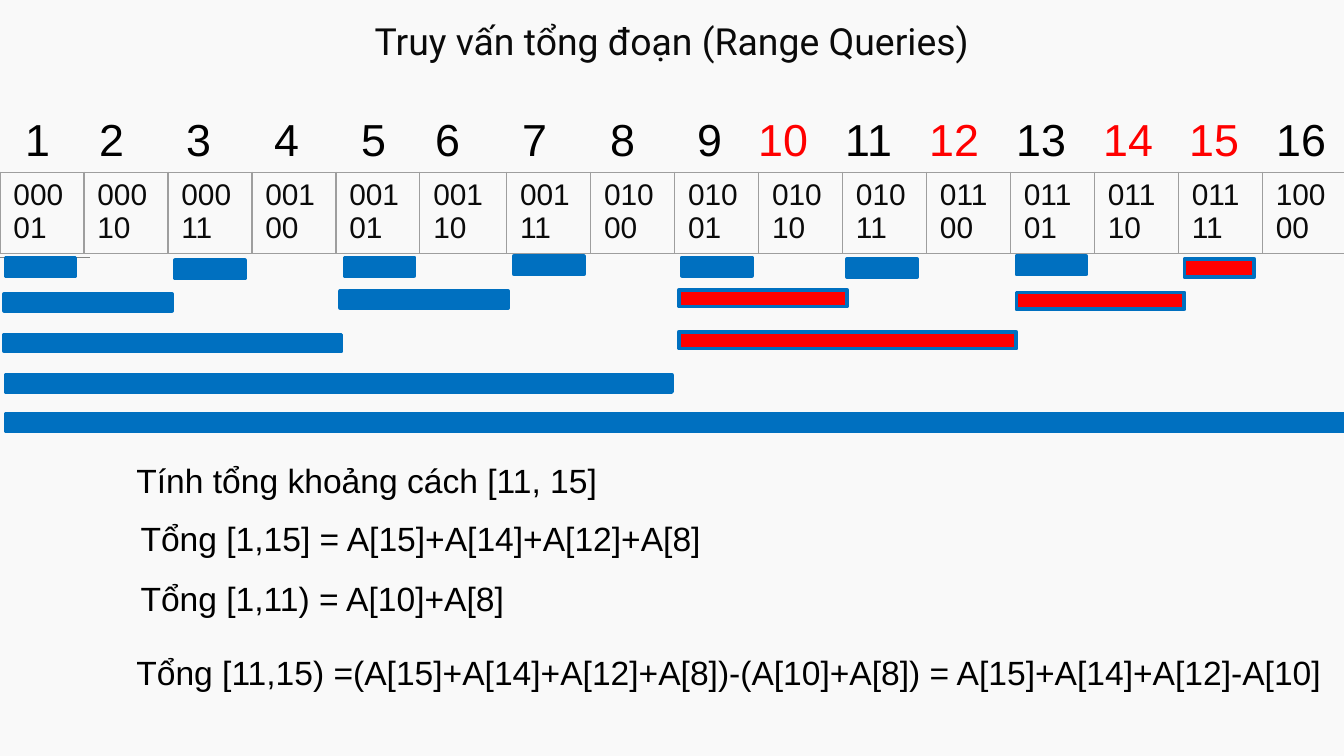
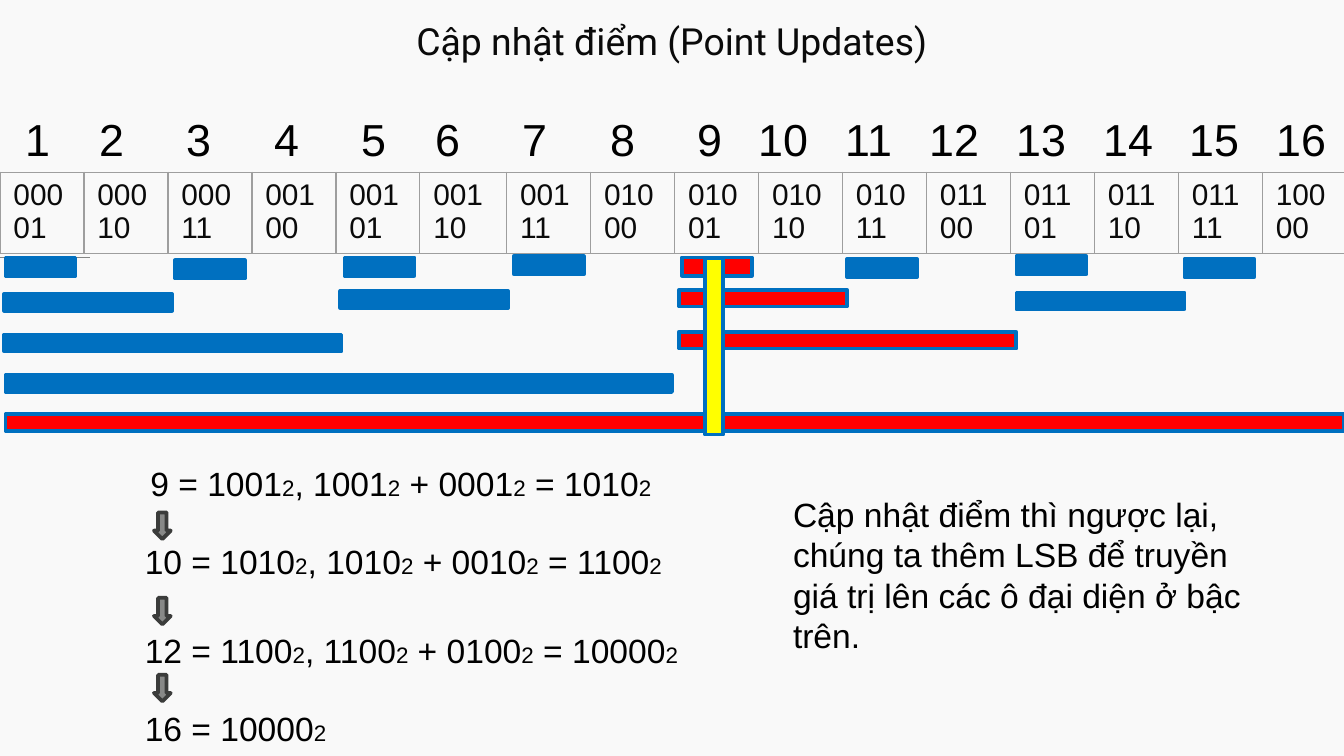
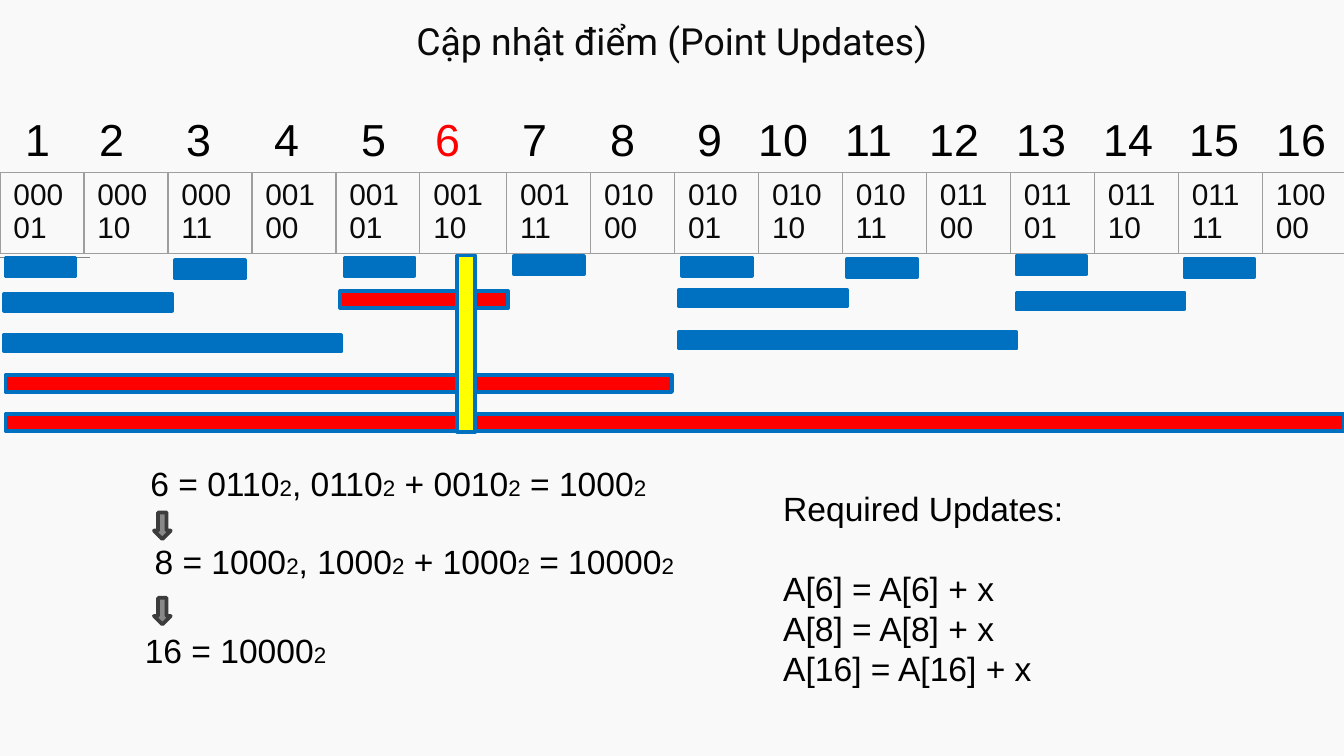
from lxml.etree import SubElement
from pptx import Presentation
from pptx.dml.color import RGBColor
from pptx.enum.shapes import MSO_CONNECTOR as Connector, MSO_SHAPE as Preset
from pptx.enum.text import MSO_ANCHOR as Anchor, MSO_AUTO_SIZE as AutoSize, PP_ALIGN as Align
from pptx.oxml import parse_xml
from pptx.oxml.ns import nsdecls, qn
from pptx.util import Pt

PX = 9525
COLORS = {
    "background": "F9F9F9",
    "title": "0A0A0A",
    "text": "000000",
    "blue": "0070C0",
    "red": "FF0000",
    "yellow": "FFFF00",
    "grid": "9E9E9E",
    "rule": "848584",
    "arrow": "878887",
    "arrow_edge": "3B3C3B",
}
NUMBER_TABS = [53, 115, 178, 240, 293, 355, 418, 480, 524, 586, 646, 708, 770, 832, 894]
BAR_WIDTHS = {1: 50, 2: 120, 4: 241, 8: 476, 16: 956}
BAR_ORIGINS = {
    1: (4, 184), 3: (125, 186), 5: (246, 184), 7: (367, 183),
    9: (487, 184), 11: (605, 185), 13: (726, 183), 15: (846, 185),
    2: (3, 210), 6: (243, 208), 10: (485, 207), 14: (726, 209),
    4: (3, 239), 12: (485, 237), 8: (4, 268), 16: (4, 296),
}
STEP_TOPS = [326, 382, 445, 501]
ARROW_TOPS = [366, 427, 482]


def color(name):
    return RGBColor.from_string(COLORS[name])


class Deck:
    def __init__(self):
        self.presentation = Presentation()
        self.presentation.slide_width = 960 * PX
        self.presentation.slide_height = 540 * PX
        self.slide = None

    def box(self, *lengths):
        return [length * PX for length in lengths]

    def style(self, paragraph, size=18, name="text", font="Arial"):
        for run in paragraph.runs:
            run.font.size = Pt(size)
            run.font.name = font
            run.font.color.rgb = color(name)

    def text(self, x, y, width, height, content=""):
        text_frame = self.slide.shapes.add_textbox(*self.box(x, y, width, height)).text_frame
        text_frame.word_wrap = True
        text_frame.auto_size = AutoSize.SHAPE_TO_FIT_TEXT
        text_frame.text = content
        for paragraph in text_frame.paragraphs:
            self.style(paragraph)
        return text_frame

    def title(self, content):
        text_frame = self.text(75, 0, 810, 58, content)
        text_frame.auto_size = AutoSize.NONE
        text_frame.vertical_anchor = Anchor.MIDDLE
        paragraph = text_frame.paragraphs[0]
        paragraph.alignment = Align.CENTER
        self.style(paragraph, 20, "title", "Roboto")

    def numbers(self, red):
        text_frame = self.text(0, 75, 960, 48)
        text_frame.margin_left = 18 * PX
        paragraph = text_frame.paragraphs[0]
        tabs = SubElement(paragraph._p.get_or_add_pPr(), qn("a:tabLst"))
        for position in NUMBER_TABS:
            SubElement(tabs, qn("a:tab"), pos=str(position * PX), algn="l")
        for number in range(1, 17):
            paragraph.add_run().text = str(number) if number == 1 else f"\t{number}"
        self.style(paragraph, 24)
        for number in red:
            paragraph.runs[number - 1].font.color.rgb = color("red")

    def codes(self):
        table = self.slide.shapes.add_table(1, 16, *self.box(0, 123, 962, 58)).table
        table.first_row = table.horz_banding = False
        for index, cell in enumerate(table.rows[0].cells):
            table.columns[index].width = (62 if index == 5 else 60) * PX
            cell.text = f"{index + 1:05b}"
            self.style(cell.text_frame.paragraphs[0], 16, "title")
            cell.fill.background()
            properties = cell._tc.get_or_add_tcPr()
            for order, side in enumerate("LRTB"):
                properties.insert(order, parse_xml(
                    f'<a:ln{side} {nsdecls("a")} w="{Pt(0.75)}"><a:solidFill>'
                    f'<a:srgbClr val="{COLORS["grid"]}"/></a:solidFill></a:ln{side}>'))

    def line(self, x1, y1, x2, y2):
        connector = self.slide.shapes.add_connector(Connector.STRAIGHT, *self.box(x1, y1, x2, y2))
        connector.line.color.rgb = color("rule")
        connector.line.width = Pt(0.75)
        SubElement(connector._element.spPr, qn("a:effectLst"))

    def shape(self, preset, x, y, width, height, fill, edge="blue", rotation=0):
        shape = self.slide.shapes.add_shape(preset, *self.box(x, y, width, height))
        shape.shadow.inherit = False
        shape.rotation = rotation
        shape.fill.solid()
        shape.fill.fore_color.rgb = color(fill)
        shape.line.color.rgb = color(edge)
        shape.line.width = Pt(2)

    def bars(self, red):
        for index, (x, y) in BAR_ORIGINS.items():
            low_bit = index & -index
            self.shape(Preset.RECTANGLE, x, y, BAR_WIDTHS[low_bit], 13 if low_bit == 1 else 12,
                       "red" if index in red else "blue")

    def marker(self, x, y):
        self.shape(Preset.RECTANGLE, x, y, 126, 13, "yellow", rotation=90)

    def tree_slide(self, title, red_numbers, red_bars):
        self.slide = self.presentation.slides.add_slide(self.presentation.slide_layouts[6])
        background = self.slide.background.fill
        background.solid()
        background.fore_color.rgb = color("background")
        self.title(title)
        self.codes()
        self.numbers(red_numbers)
        self.line(0, 184, 64, 184)
        self.bars(red_bars)

    def binary_step(self, x, y, content):
        paragraph = self.text(x, y, 794, 38).paragraphs[0]
        parts = content.split("_")
        for part in parts[:-1]:
            paragraph.add_run().text = part
            paragraph.add_run().text = "2"
        self.style(paragraph)
        for run in paragraph.runs[1::2]:
            run.font.size = Pt(12)

    def binary_steps(self, steps):
        for (x, content), y in zip(steps, STEP_TOPS):
            self.binary_step(x, y, content)
        for y in ARROW_TOPS[:len(steps) - 1]:
            self.shape(Preset.DOWN_ARROW, 110, y, 12, 19, "arrow", "arrow_edge")


def main():
    deck = Deck()

    deck.tree_slide("Truy vấn tổng đoạn (Range Queries)", [10, 12, 14, 15], [10, 12, 14, 15])
    for x, y, width, content in [
        (88, 324, 794, "Tính tổng khoảng cách [11, 15]"),
        (91, 365, 794, "Tổng [1,15] = A[15]+A[14]+A[12]+A[8]"),
        (91, 408, 794, "Tổng [1,11) = A[10]+A[8]"),
        (88, 461, 872,
         "Tổng [11,15) =(A[15]+A[14]+A[12]+A[8])-(A[10]+A[8]) = A[15]+A[14]+A[12]-A[10]"),
    ]:
        deck.text(x, y, width, 38, content)

    update_title = "Cập nhật điểm (Point Updates)"
    deck.tree_slide(update_title, [], [9, 10, 12, 16])
    deck.binary_steps([
        (98, "9 = 1001_, 1001_ + 0001_ = 1010_"),
        (94, "10 = 1010_, 1010_ + 0010_ = 1100_"),
        (94, "12 = 1100_, 1100_ + 0100_ = 10000_"),
        (94, "16 = 10000_"),
    ])
    deck.marker(447, 241)
    deck.text(557, 348, 351, 126,
              "Cập nhật điểm thì ngược lại, chúng ta thêm LSB để truyền giá trị "
              "lên các ô đại diện ở bậc trên.")

    deck.tree_slide(update_title, [6], [6, 8, 16])
    deck.binary_steps([
        (98, "6 = 0110_, 0110_ + 0010_ = 1000_"),
        (101, "8 = 1000_, 1000_ + 1000_ = 10000_"),
        (94, "16 = 10000_"),
    ])
    deck.marker(270, 239)
    updates = [f"A[{index}] = A[{index}] + x" for index in (6, 8, 16)]
    required = deck.text(550, 344, 351, 156, "\n".join(["Required Updates:", *updates]))
    required.paragraphs[1].space_before = Pt(21)

    deck.presentation.save("out.pptx")


if __name__ == "__main__":
    main()
